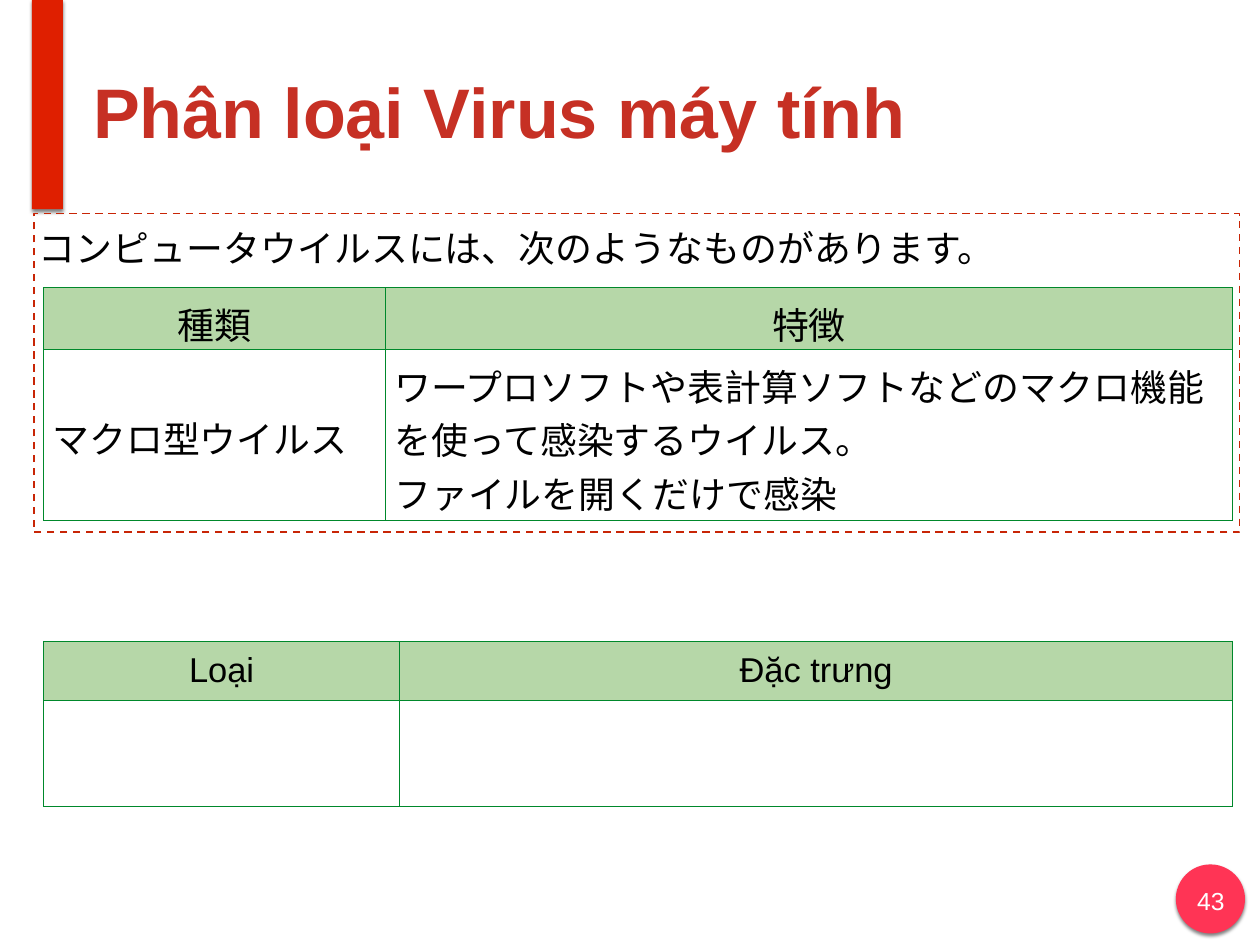
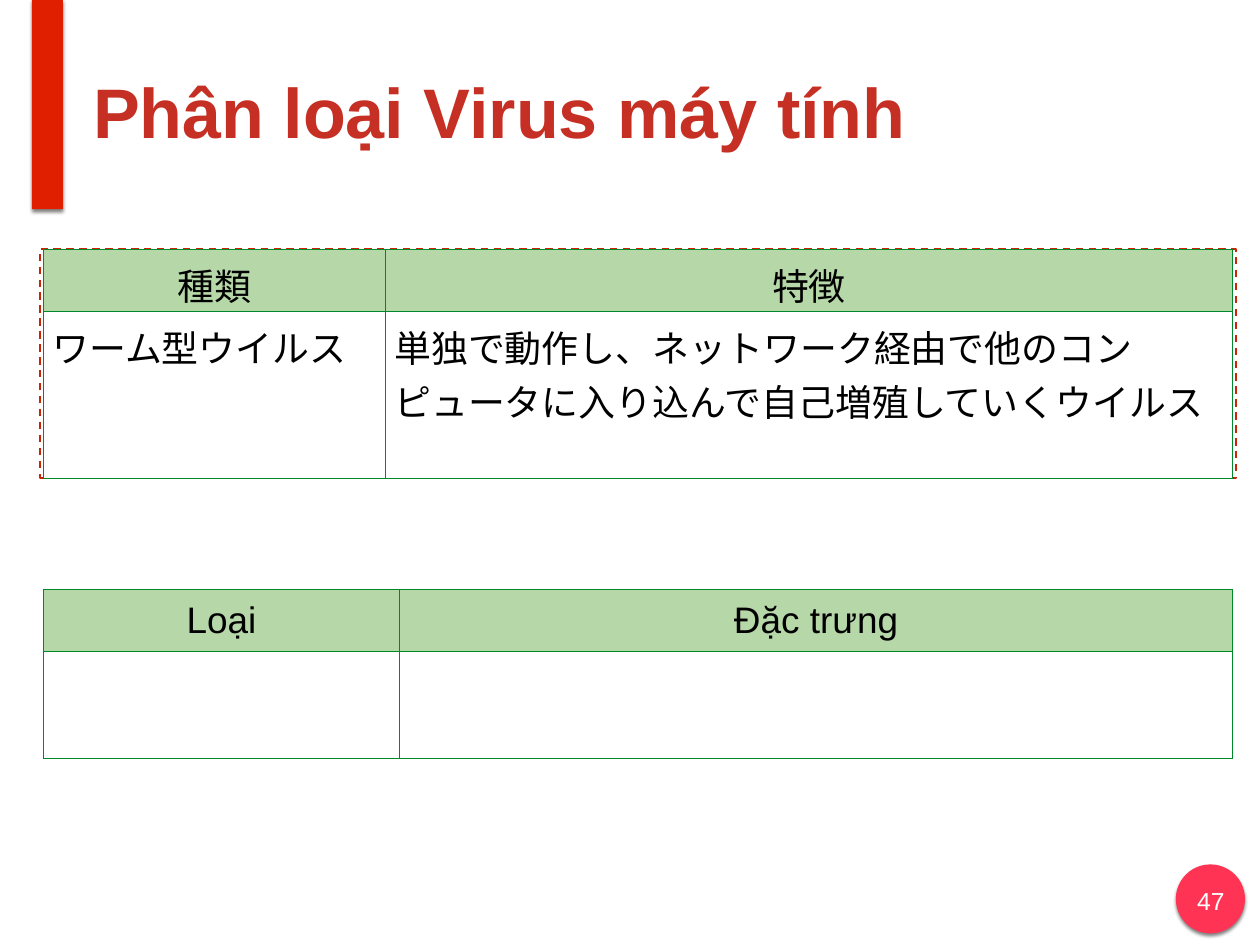
from typing import NamedTuple

from lxml.etree import SubElement
from pptx import Presentation
from pptx.dml.color import RGBColor
from pptx.enum.dml import MSO_LINE
from pptx.enum.shapes import MSO_SHAPE as Preset
from pptx.enum.text import MSO_ANCHOR as Anchor, PP_ALIGN as Align
from pptx.oxml import parse_xml
from pptx.oxml.ns import nsdecls, qn
from pptx.util import Inches, Pt

COLOURS = {"band": "DF1F00", "badge": "FF3455", "title": "C63024", "frame": "C82506",
           "grid": "00882B", "header": "B6D7A8", "paper": "FFFFFF", "ink": "000000"}
TITLE = "Phân loại Virus máy tính"
JAPANESE_HEADER = ["種類", "特徴"]
VIETNAMESE_HEADER = ["Loại", "Đặc trưng"]


class Box(NamedTuple):
    """A rectangle in EMU."""
    left: int
    top: int
    width: int
    height: int

    def inner(self, left, top, width, height):
        """Return an inner box given as percentages of this one."""
        return Box(int(self.left + self.width * left / 100),
                   int(self.top + self.height * top / 100),
                   int(self.width * width / 100), int(self.height * height / 100))


SLIDE = Box(0, 0, Inches(14.22), Inches(10.67))


def colour(name):
    """Return the named palette colour."""
    return RGBColor.from_string(COLOURS[name])


def apply(target, values):
    """Set each attribute in values on target."""
    for attribute, value in values.items():
        setattr(target, attribute, value)


def write(frame, lines, size, ink="ink", bold=False, **layout):
    """Fill a text frame with equally formatted paragraphs."""
    frame.text = "\n".join(lines)
    for paragraph in frame.paragraphs:
        apply(paragraph, layout)
        for run in paragraph.runs:
            apply(run.font, {"name": "Arial", "size": Pt(size), "bold": bold})
            run.font.color.rgb = colour(ink)


def set_margins(target, inches):
    """Give a text frame or cell four equal margins."""
    sides = ("left", "top", "right", "bottom")
    apply(target, {f"margin_{side}": Inches(inches) for side in sides})


def inset(frame, anchor):
    """Give a text frame the shared margins, wrapping and an anchor."""
    set_margins(frame, 0.06)
    apply(frame, {"word_wrap": True, "vertical_anchor": anchor})


def add_label(slide, box, text, size, ink, anchor=Anchor.TOP, **style):
    """Add a single-line text box."""
    frame = slide.shapes.add_textbox(*box).text_frame
    inset(frame, anchor)
    write(frame, [text], size, ink, **style)


def add_raised(slide, preset, box, fill):
    """Add a filled shape with a soft shadow below it."""
    raised = slide.shapes.add_shape(preset, *box)
    raised.fill.solid()
    raised.fill.fore_color.rgb = colour(fill)
    raised.line.fill.background()
    raised.shadow.inherit = False
    effects = raised._element.spPr.find(qn("a:effectLst"))
    shadow = SubElement(effects, qn("a:outerShdw"), blurRad=str(Pt(3)), dist=str(Pt(2)),
                        dir="5400000", rotWithShape="0")
    tint = SubElement(shadow, qn("a:srgbClr"), val=COLOURS["ink"])
    SubElement(tint, qn("a:alpha"), val="49000")


def add_heading(slide, box):
    """Add the red band and the title."""
    add_raised(slide, Preset.RECTANGLE, box.inner(2.53, 0, 2.46, 22.12), "band")
    add_label(slide, box.inner(6.96, 1.12, 88.19, 19.87), TITLE, 57, "title",
              Anchor.MIDDLE, bold=True, line_spacing=1.15)


def add_badge(slide, box, number):
    """Add the round page number."""
    add_raised(slide, Preset.OVAL, box, "badge")
    add_label(slide, box.inner(19, 24, 63, 58), number, 20, "paper", alignment=Align.CENTER)


def add_frame(slide, box, intro):
    """Add the dashed frame with its introduction, if any."""
    dashed = slide.shapes.add_shape(Preset.RECTANGLE, *box)
    dashed.shadow.inherit = False
    dashed.fill.background()
    dashed.line.color.rgb = colour("frame")
    apply(dashed.line, {"width": Pt(1.5), "dash_style": MSO_LINE.DASH})
    if intro:
        inset(dashed.text_frame, Anchor.TOP)
        write(dashed.text_frame, [intro], 30, alignment=Align.LEFT, line_spacing=1.15)


def style_cell(cell, fill, anchor):
    """Set fill, margins and thin green borders of a cell."""
    cell.fill.solid()
    cell.fill.fore_color.rgb = colour(fill)
    set_margins(cell, 0.1)
    cell.vertical_anchor = anchor
    for index, side in enumerate("LRTB"):
        border = parse_xml(
            f'<a:ln{side} {nsdecls("a")} w="{Pt(0.75)}"><a:solidFill>'
            f'<a:srgbClr val="{COLOURS["grid"]}"/></a:solidFill></a:ln{side}>')
        cell._tc.get_or_add_tcPr().insert(index, border)


def add_types(slide, box, header, body, size, first_column, first_row,
              anchor=Anchor.TOP, lift=None):
    """Add a table of virus types; first column and row are percentages."""
    table = slide.shapes.add_table(2, 2, *box).table
    apply(table, {"first_row": False, "horz_banding": False})
    for index, share in enumerate((first_column, 100 - first_column)):
        table.columns[index].width = int(box.width * share / 100)
    for index, share in enumerate((first_row, 100 - first_row)):
        table.rows[index].height = int(box.height * share / 100)
    for column, title in enumerate(header):
        top, below = table.cell(0, column), table.cell(1, column)
        style_cell(top, "header", anchor)
        write(top.text_frame, [title], size, alignment=Align.CENTER)
        style_cell(below, "paper", Anchor.TOP)
        if body:
            write(below.text_frame, body[column], size)
    if lift:
        apply(table.cell(1, 0), {"vertical_anchor": Anchor.BOTTOM,
                                 "margin_bottom": Inches(lift)})


def add_virus_slide(deck, number, frame, intro, japanese, vietnamese):
    """Add one slide with a Japanese table and its Vietnamese counterpart."""
    slide = deck.slides.add_slide(deck.slide_layouts[6])
    add_heading(slide, SLIDE)
    add_badge(slide, SLIDE.inner(93.32, 91.47, 5.49, 7.31), number)
    add_frame(slide, SLIDE.inner(*frame), intro)
    tables = ((JAPANESE_HEADER, 28.76, japanese),
              (VIETNAMESE_HEADER, 29.96, {"body": None, "anchor": Anchor.MIDDLE, **vietnamese}))
    for header, first_column, values in tables:
        options = dict(values)
        top, height = options.pop("span")
        add_types(slide, SLIDE.inner(3.45, top, 94.37, height), header,
                  first_column=first_column, **options)


def main():
    """Build and save the deck."""
    deck = Presentation()
    apply(deck, {"slide_width": SLIDE.width, "slide_height": SLIDE.height})
    add_virus_slide(
        deck, "43", (2.67, 22.59, 95.71, 33.74),
        "コンピュータウイルスには、次のようなものがあります。",
        {"span": (30.46, 24.65), "size": 30, "first_row": 26.6, "lift": 0.64,
         "body": [["マクロ型ウイルス"],
                  ["ワープロソフトや表計算ソフトなどのマクロ機能を使って感染するウイルス。",
                   "ファイルを開くだけで感染"]]},
        {"span": (67.85, 17.53), "size": 28, "first_row": 35.8})
    add_virus_slide(
        deck, "47", (3.16, 26.34, 94.94, 24.27), None,
        {"span": (26.34, 24.27), "size": 30, "first_row": 27,
         "body": [["ワーム型ウイルス"],
                  ["単独で動作し、ネットワーク経由で他のコンピュータに入り込んで"
                   "自己増殖していくウイルス"]]},
        {"span": (62.42, 17.81), "size": 30, "first_row": 36.8})
    deck.save("out.pptx")


if __name__ == "__main__":
    main()
